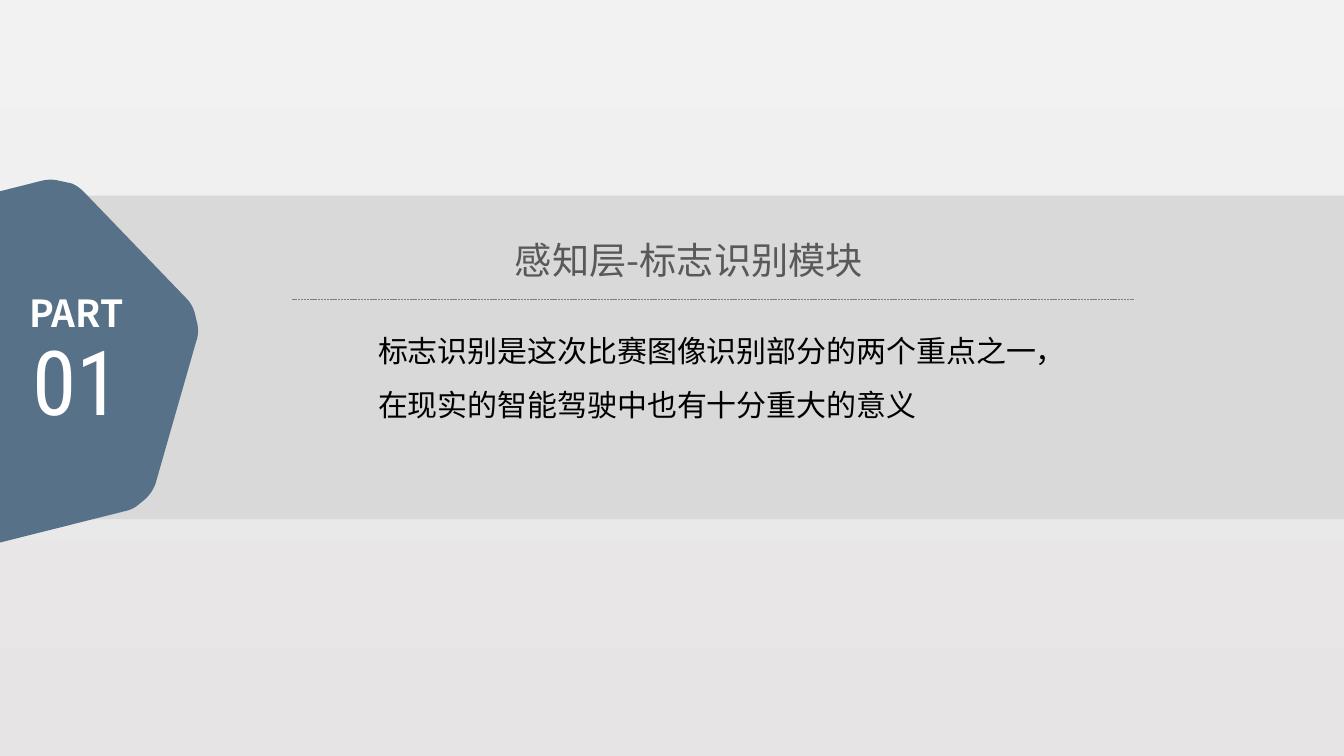
from lxml.etree import SubElement
from pptx import Presentation
from pptx.dml.color import RGBColor
from pptx.enum.dml import MSO_LINE_DASH_STYLE as Dash
from pptx.enum.shapes import MSO_CONNECTOR as Connector, MSO_SHAPE as Shape
from pptx.enum.text import MSO_AUTO_SIZE as AutoSize, PP_ALIGN as Align
from pptx.oxml.ns import qn
from pptx.util import Cm, Pt

CHINESE = "Noto Sans CJK SC"
NUMERAL = "Roboto Condensed"
BADGE = [
    (0, 13.67), (0, 4.82), (1.07, 4.55),
    (1.22, 4.52, 1.35, 4.52, 1.47, 4.55), (1.8, 4.62),
    (1.93, 4.67, 2.03, 4.75, 2.13, 4.85), (4.7, 7.52),
    (4.8, 7.62, 4.85, 7.72, 4.9, 7.85), (4.98, 8.18),
    (5, 8.31, 5, 8.46, 4.95, 8.59), (3.94, 12.12),
    (3.89, 12.32, 3.76, 12.5, 3.61, 12.62), (3.51, 12.7),
    (3.4, 12.8, 3.28, 12.85, 3.15, 12.88),
]


def color(value):
    """Turn a hex string into a colour."""
    return RGBColor.from_string(value)


def paint_background(page, top, bottom):
    """Fill the page with a vertical gradient."""
    fill = page.background.fill
    fill.gradient()
    fill.gradient_angle = 270
    for stop, value in zip(fill.gradient_stops, (top, bottom)):
        stop.color.rgb = color(value)


def paint(shape, value):
    """Give a shape a plain fill without line or shadow."""
    shape.shadow.inherit = False
    shape.fill.solid()
    shape.fill.fore_color.rgb = color(value)
    shape.line.fill.background()


def add_band(page, left, top, width, height, value):
    """Add a plain rectangle."""
    band = page.shapes.add_shape(Shape.RECTANGLE, Cm(left), Cm(top), Cm(width), Cm(height))
    paint(band, value)


def trace(outline, steps=10):
    """Turn points and cubic curves into a list of points."""
    points = []
    for part in outline:
        if len(part) == 2:
            points.append(part)
            continue
        knots = [points[-1], part[:2], part[2:4], part[4:]]
        for step in range(1, steps + 1):
            t = step / steps
            weights = ((1 - t) ** 3, 3 * t * (1 - t) ** 2, 3 * t * t * (1 - t), t ** 3)
            points.append(tuple(
                sum(weight * knot[axis] for weight, knot in zip(weights, knots))
                for axis in (0, 1)))
    return points


def add_outline(page, outline, value):
    """Add a closed freeform."""
    start, *rest = [(Cm(x), Cm(y)) for x, y in trace(outline)]
    builder = page.shapes.build_freeform(*start)
    builder.add_line_segments(rest, close=True)
    paint(builder.convert_to_shape(), value)


def add_text(page, text, left, top, width, height, *, size, font=CHINESE,
             value="FFFFFF", bold=False, align=Align.CENTER, spacing=None):
    """Add a wrapped text box with one paragraph."""
    box = page.shapes.add_textbox(Cm(left), Cm(top), Cm(width), Cm(height))
    frame = box.text_frame
    frame.word_wrap = True
    frame.auto_size = AutoSize.SHAPE_TO_FIT_TEXT
    frame.margin_left = frame.margin_right = Cm(0.34)
    frame.margin_top = frame.margin_bottom = Cm(0.17)
    para = frame.paragraphs[0]
    para.alignment = align
    para.line_spacing = spacing
    span = para.add_run()
    span.text = text
    span.font.size = Pt(size)
    span.font.bold = bold
    span.font.color.rgb = color(value)
    span.font.name = font
    SubElement(span.font._element, qn("a:ea"), typeface=font)


def add_rule(page, left, right, top, value):
    """Add a thin dashed horizontal line."""
    rule = page.shapes.add_connector(
        Connector.STRAIGHT, Cm(left), Cm(top), Cm(right), Cm(top))
    rule.line.color.rgb = color(value)
    rule.line.width = Pt(0.5)
    rule.line.dash_style = Dash.SQUARE_DOT
    SubElement(rule._element.spPr, qn("a:effectLst"))


def main():
    """Build the section page and save the deck."""
    deck = Presentation()
    deck.slide_width, deck.slide_height = Cm(33.87), Cm(19.05)
    page = deck.slides.add_slide(deck.slide_layouts[6])
    paint_background(page, "F2F2F2", "E6E4E4")
    add_band(page, 1.07, 4.93, 32.8, 8.15, "D9D9D9")
    add_outline(page, BADGE, "577188")
    add_text(page, "01", -0.76, 8.05, 5.38, 3.07, size=64, font=NUMERAL)
    add_text(page, "感知层-标志识别模块", 11.73, 5.82, 11.28, 1.47,
             size=26.6, value="595959")
    add_text(page, "标志识别是这次比赛图像识别部分的两个重点之一，在现实的智能驾驶中也有十分重大的意义",
             9.19, 7.75, 17.58, 3.07, size=21.4, value="000000",
             align=Align.LEFT, spacing=1.5)
    add_text(page, "PART", -0.51, 7.14, 4.88, 1.47, size=26.6, bold=True)
    add_rule(page, 7.37, 28.57, 7.54, "808080")
    deck.save("out.pptx")


if __name__ == "__main__":
    main()
